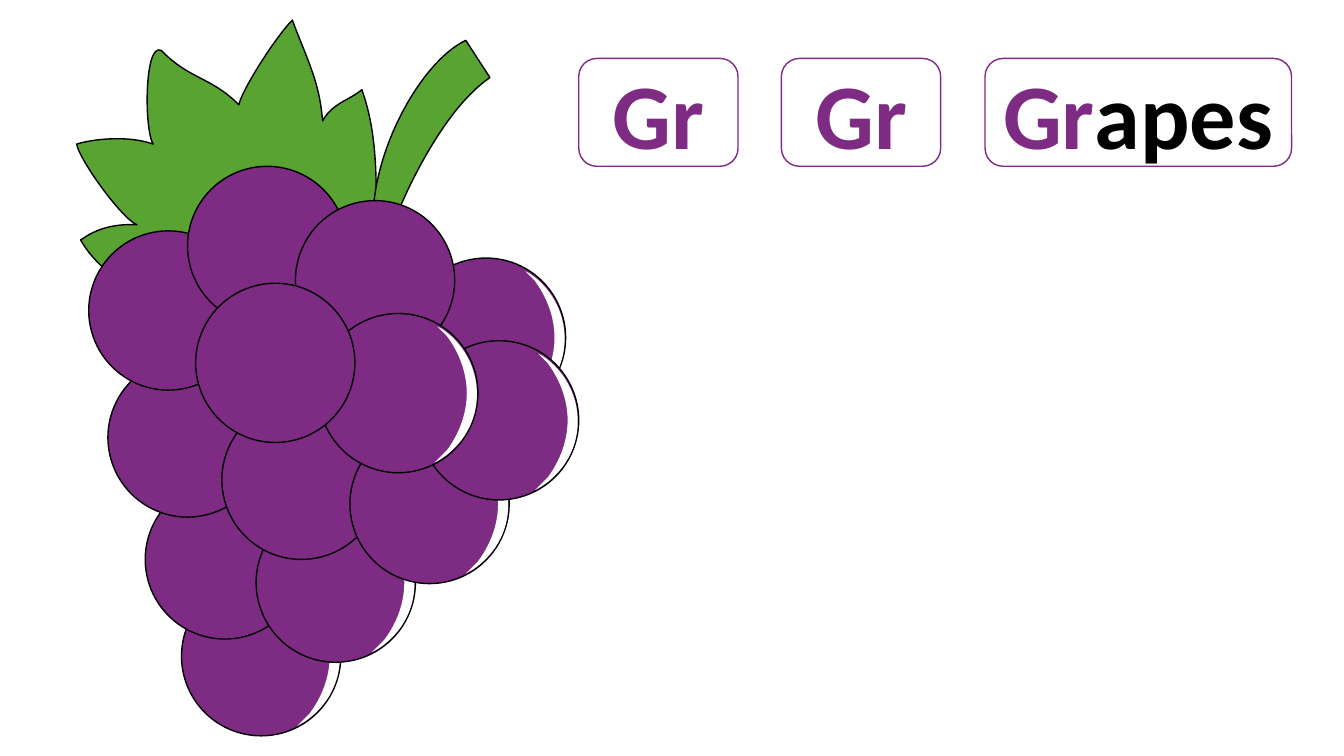
"""Build a phonics slide: a bunch of grapes beside Gr, Gr and Grapes cards."""
import pptx
import pptx.dml.color
import pptx.enum.shapes
import pptx.enum.text
import pptx.util
from lxml import etree

COLUMNS, ROWS = 1333, 750
CELL = pptx.util.Inches(0.01)
PURPLE = pptx.dml.color.RGBColor(0x7E, 0x2B, 0x83)
GREEN = pptx.dml.color.RGBColor(0x59, 0xA3, 0x32)
BLACK = pptx.dml.color.RGBColor(0, 0, 0)
WHITE = pptx.dml.color.RGBColor(255, 255, 255)
DRAWING = "{http://schemas.openxmlformats.org/drawingml/2006/main}"

GRAPE_SIZE = 158
LOWER_GRAPES = [
    (180, 572, True), (144, 476, False), (254, 499, True),
    (107, 355, False), (220, 397, False), (347, 421, True),
]
UPPER_GRAPES = [
    (88, 229, False), (403, 256, True), (186, 165, False), (293, 199, False),
    (416, 338, True), (316, 311, True), (194, 281, False),
]
SHINE = [
    (118, 13), (127, 22), (139, 38, 147, 58, 147, 79),
    (147, 100, 139, 120, 127, 136), (115, 148), (122, 144),
    (143, 130, 157, 107, 157, 80), (157, 53, 143, 29, 122, 15),
]
LEAF = [
    (80, 238), (82, 238, 98, 221, 136, 223), (122, 218, 80, 161, 76, 143),
    (92, 138, 127, 134, 152, 143), (143, 129, 143, 42, 160, 50),
    (188, 79, 209, 76, 237, 104), (240, 89, 274, 36, 290, 20),
    (305, 60, 317, 81, 320, 120), (330, 102, 346, 100, 359, 89),
    (376, 137, 374, 187, 372, 266), (152, 304), (128, 282, 98, 270, 80, 238),
]
STEM = [
    (462, 40), (486, 77), (436, 111, 396, 204, 388, 228),
    (370, 223), (368, 150, 418, 61, 462, 40),
]


def style(sp, fill, line=None):
    """Give a shape a flat fill and a one-point line, or no line."""
    sp.shadow.inherit = False
    sp.fill.solid()
    sp.fill.fore_color.rgb = fill
    if line is None:
        sp.line.fill.background()
    else:
        sp.line.color.rgb = line
        sp.line.width = pptx.util.Pt(1)


def bend(sp, segment, controls):
    """Turn a straight segment of a freeform into a cubic curve."""
    segment.tag = f"{DRAWING}cubicBezTo"
    for index, (x, y) in enumerate(controls):
        pt = etree.Element(f"{DRAWING}pt", x=str(x - sp.left), y=str(y - sp.top))
        segment.insert(index, pt)


def add_outline(shapes, outline, fill, line=None, left=0, top=0):
    """Draw a closed outline of straight and curved parts in grid cells."""
    steps = [[((left + x) * CELL, (top + y) * CELL)
              for x, y in zip(part[::2], part[1::2])] for part in outline]
    builder = shapes.build_freeform(*steps[0][-1])
    builder.add_line_segments([step[-1] for step in steps[1:]], close=True)
    sp = builder.convert_to_shape()
    segments = list(sp._element.iter(f"{DRAWING}lnTo"))
    for segment, step in zip(segments, steps[1:]):
        if len(step) == 3:
            bend(sp, segment, step[:2])
    style(sp, fill, line)


def add_grape(shapes, left, top, shiny):
    """Draw one grape, with a white shine on its right if it is shiny."""
    sp = shapes.add_shape(
        pptx.enum.shapes.MSO_SHAPE.OVAL,
        left * CELL, top * CELL, GRAPE_SIZE * CELL, GRAPE_SIZE * CELL)
    style(sp, PURPLE, BLACK)
    if shiny:
        add_outline(shapes, SHINE, WHITE, left=left, top=top)


def add_bunch(slide):
    """Draw the grapes, leaf and stem as one group."""
    shapes = slide.shapes.add_group_shape().shapes
    for grape in LOWER_GRAPES:
        add_grape(shapes, *grape)
    add_outline(shapes, LEAF, GREEN, BLACK)
    add_outline(shapes, STEM, GREEN, BLACK)
    for grape in UPPER_GRAPES:
        add_grape(shapes, *grape)


def outline_run(r):
    """Give a run a thin black letter outline."""
    ln = etree.Element(f"{DRAWING}ln", w=str(pptx.util.Pt(0.75)))
    fill = etree.SubElement(ln, f"{DRAWING}solidFill")
    etree.SubElement(fill, f"{DRAWING}srgbClr", val=str(BLACK))
    r._r.get_or_add_rPr().insert(0, ln)


def add_card(slide, left, width, pieces):
    """Draw a rounded card holding runs of coloured letters."""
    sp = slide.shapes.add_shape(
        pptx.enum.shapes.MSO_SHAPE.ROUNDED_RECTANGLE,
        left * CELL, 58 * CELL, width * CELL, 107 * CELL)
    style(sp, WHITE, PURPLE)
    tf = sp.text_frame
    tf.word_wrap = True
    tf.vertical_anchor = pptx.enum.text.MSO_ANCHOR.MIDDLE
    p = tf.paragraphs[0]
    p.alignment = pptx.enum.text.PP_ALIGN.CENTER
    for text, color in pieces:
        r = p.add_run()
        r.text = text
        r.font.name = "Calibri"
        r.font.size = pptx.util.Pt(66)
        r.font.bold = True
        r.font.color.rgb = color
        outline_run(r)


def main():
    """Build and save the slide."""
    prs = pptx.Presentation()
    prs.slide_width = COLUMNS * CELL
    prs.slide_height = ROWS * CELL
    slide = prs.slides.add_slide(prs.slide_layouts[6])
    for left in (775, 574):
        add_card(slide, left, 158, [("Gr", PURPLE)])
    add_bunch(slide)
    add_card(slide, 977, 304, [("Gr", PURPLE), ("apes", BLACK)])
    prs.save("out.pptx")


if __name__ == "__main__":
    main()
